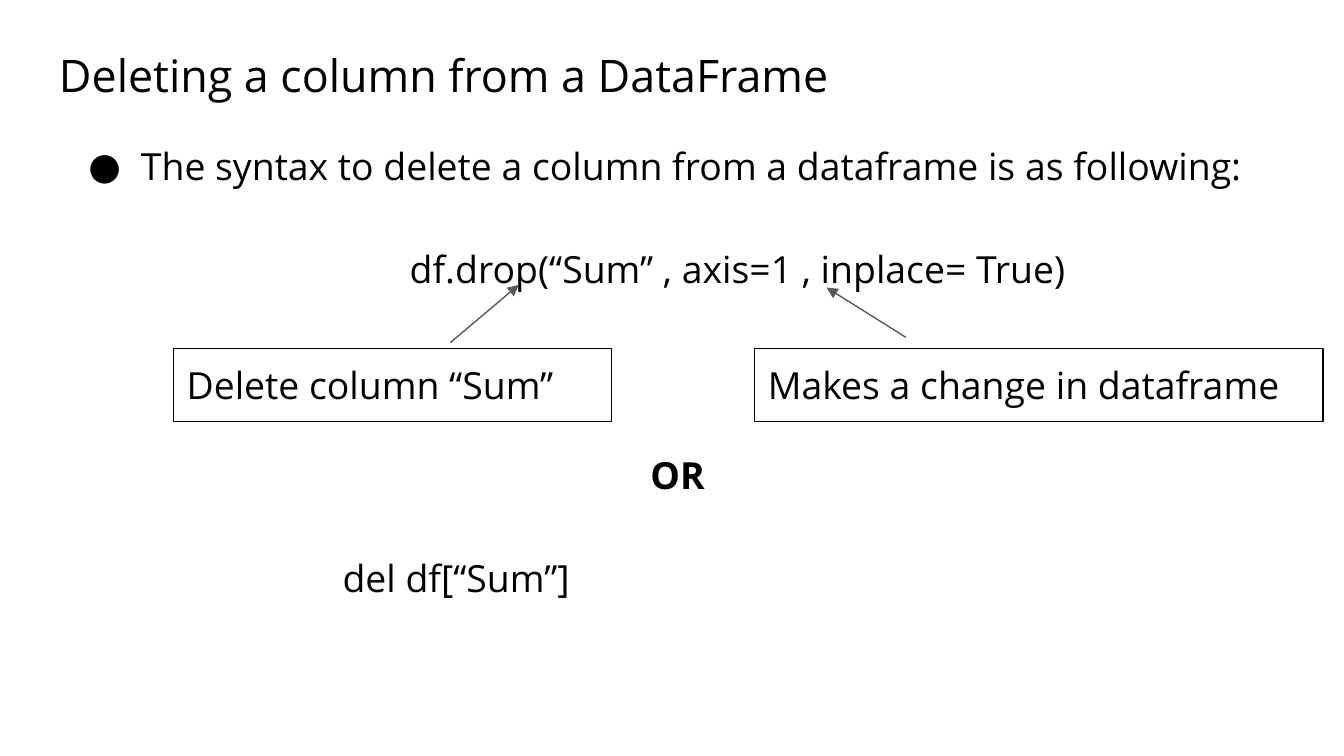
"""Build a slide on deleting a column from a DataFrame."""
from typing import NamedTuple

from lxml import etree
from pptx import Presentation
from pptx.dml.color import RGBColor
from pptx.enum.shapes import MSO_CONNECTOR, MSO_SHAPE
from pptx.enum.text import MSO_ANCHOR, PP_ALIGN
from pptx.oxml.ns import qn
from pptx.util import Inches, Pt

STRAIGHT = MSO_CONNECTOR.STRAIGHT
RECT = MSO_SHAPE.RECTANGLE
TOP = MSO_ANCHOR.TOP
LEFT = PP_ALIGN.LEFT

BLACK = RGBColor(0, 0, 0)
GREY = RGBColor(0x59, 0x59, 0x59)
FONT = "Open Sans"
CELL = Inches(0.1)
COLS, ROWS = 100, 56.25
STEP = 27.6

FRAME = {"word_wrap": True, "vertical_anchor": TOP,
         "margin_left": CELL, "margin_right": CELL,
         "margin_top": CELL, "margin_bottom": CELL}
DOT = {"a:buSzPts": ("val", "2000"),
       "a:buFont": ("typeface", FONT),
       "a:buChar": ("char", "●")}


class Area(NamedTuple):
    """Left, top, width and height in grid cells."""
    col: float
    row: float
    cols: float
    rows: float


class Line(NamedTuple):
    """A line of text with its indent in cells and gap above in steps."""
    text: str
    left: float = 0
    gap: int = 0
    bold: bool = False
    dot: bool = False


class Label(NamedTuple):
    """A boxed label and the arrow that leads from it to the code."""
    text: str
    area: Area
    start: tuple[float, float]
    end: tuple[float, float]


TITLE = Line("Deleting a column from a DataFrame")
BODY = [
    Line("The syntax to delete a column from a dataframe is as following:", 5, dot=True),
    Line("df.drop(“Sum” , axis=1 , inplace= True)", 25, 1),
    Line("OR", 42.9, 3, bold=True),
    Line("del df[“Sum”]", 20, 1),
]
LABELS = [
    Label("Delete column “Sum”", Area(12.9, 25.95, 32.6, 5.4), (33.5, 25.5), (38.6, 21.2)),
    Label("Makes a change in dataframe", Area(56.15, 25.95, 42.3, 5.4), (67.4, 25.1), (61.5, 21.4)),
]


def grid(*cells: float) -> list[int]:
    """Turn grid cells into slide lengths."""
    return [round(cell * CELL) for cell in cells]


def apply(item, values: dict) -> None:
    """Set each format value on the item."""
    for name, value in values.items():
        setattr(item, name, value)


def add_dot(para) -> None:
    """Give the paragraph a hanging bullet."""
    props = para._p.get_or_add_pPr()
    props.set("indent", str(Inches(-0.39)))
    for tag, (name, value) in DOT.items():
        etree.SubElement(props, qn(tag)).set(name, value)


def write(shape, lines: list[Line], size: float, pitch: float = 1) -> None:
    """Fill the shape with lines of text."""
    frame = shape.text_frame
    apply(frame, FRAME)
    for spot, line in enumerate(lines):
        para = frame.add_paragraph() if spot else frame.paragraphs[0]
        apply(para, {"alignment": LEFT, "line_spacing": pitch,
                     "space_before": Pt(line.gap * STEP)})
        para._p.get_or_add_pPr().set("marL", str(*grid(line.left)))
        if line.dot:
            add_dot(para)
        run = para.add_run()
        run.text = line.text
        apply(run.font, {"name": FONT, "size": Pt(size), "bold": line.bold})
        run.font.color.rgb = BLACK


def add_text(slide, area: Area, lines: list[Line], size: float, pitch: float = 1) -> None:
    """Draw a plain text box."""
    write(slide.shapes.add_textbox(*grid(*area)), lines, size, pitch)


def add_label(slide, label: Label) -> None:
    """Draw a boxed label and its arrow."""
    arrow = slide.shapes.add_connector(STRAIGHT, *grid(*label.start, *label.end))
    arrow.line.color.rgb = GREY
    arrow.line.width = Pt(0.75)
    etree.SubElement(arrow.line._get_or_add_ln(), qn("a:tailEnd")).set("type", "triangle")
    etree.SubElement(arrow._element.spPr, qn("a:effectLst"))

    box = slide.shapes.add_shape(RECT, *grid(*label.area))
    box.shadow.inherit = False
    box.fill.background()
    box.line.color.rgb = BLACK
    box.line.width = Pt(0.75)
    write(box, [Line(label.text)], 20)


def main() -> None:
    """Build and save the slide."""
    deck = Presentation()
    deck.slide_width, deck.slide_height = grid(COLS, ROWS)
    slide = deck.slides.add_slide(deck.slide_layouts[6])
    add_text(slide, Area(3.4, 2.55, 68.1, 6.3), [TITLE], 24)
    add_text(slide, Area(4.5, 9.15, 93.2, 39.1), BODY, 20, 1.15)
    for label in LABELS:
        add_label(slide, label)
    deck.save("out.pptx")


if __name__ == "__main__":
    main()
